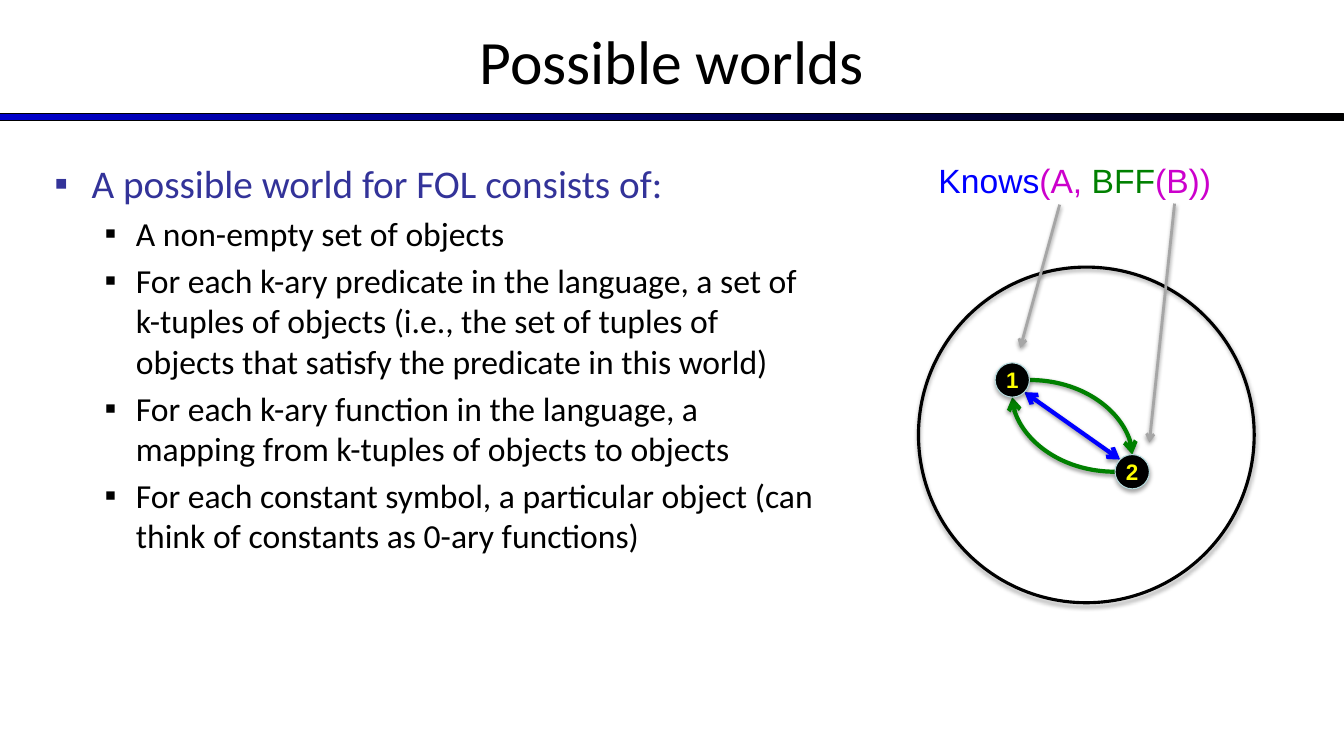
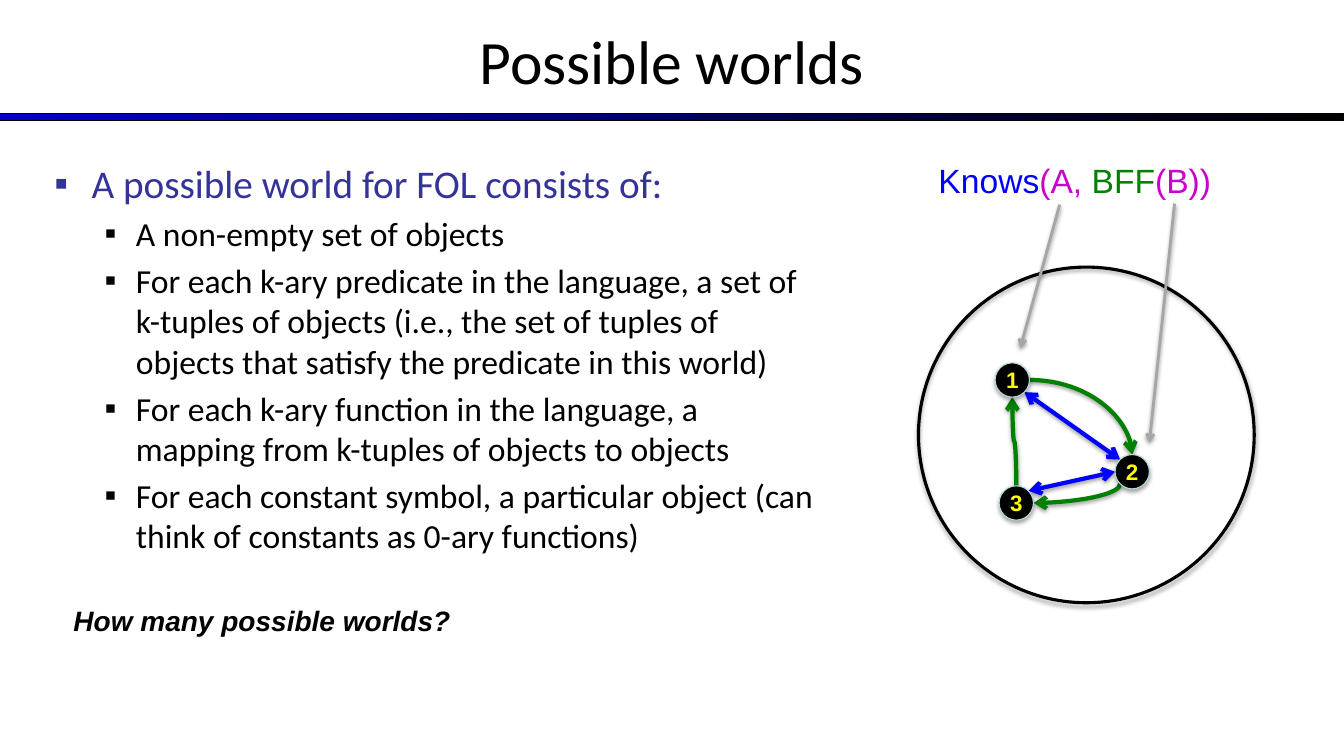
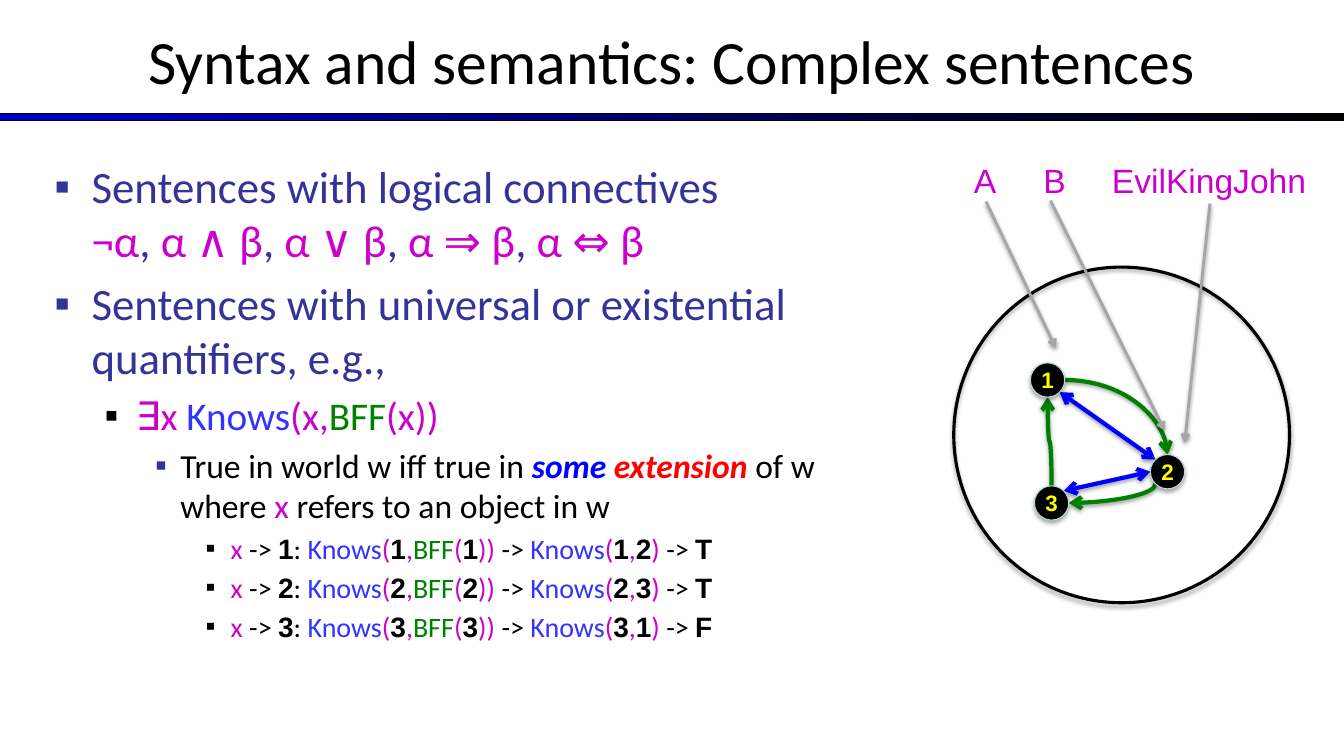
import math

from pptx import Presentation
from pptx import util as u
from pptx.dml.color import RGBColor
from pptx.enum import shapes, text
from pptx.oxml.ns import qn
from lxml import etree

SLIDE_W, SLIDE_H = 13.33, 7.5
BLACK, NAVY, BLUE, GREEN, PURPLE = "000000", "333399", "0000FF", "008000", "CC00CC"
GREY, YELLOW, RED, SKY = "A6A6A6", "FFFF00", "FF0000", "3333FF"

# Bullet levels: (left margin, hanging indent, bullet colour)
LEVELS = [(0.37, 0.37, NAVY), (0.81, 0.31, BLACK), (1.25, 0.25, NAVY), (1.75, 0.25, BLACK)]

# World diagram, in inches from the top left of its circle
WORLD_TOP, WORLD_SIZE, NODE_RADIUS = 2.65, 3.33, 0.17
OBJECTS = {1: (0.93, 1.12), 2: (2.12, 2.03), 3: (0.97, 2.34)}


def rgb(value):
    return RGBColor.from_string(value)


def sub(parent, tag, **attributes):
    child = etree.SubElement(parent, qn(tag))
    for key, value in attributes.items():
        child.set(key, str(value))
    return child


def add_shadow(shape, alpha, distance):
    effects = sub(shape.element.spPr, "a:effectLst")
    outer = sub(effects, "a:outerShdw", blurRad=u.Pt(3.1), dist=u.Pt(distance),
                dir=90 * 60000, rotWithShape=0)
    sub(sub(outer, "a:srgbClr", val=BLACK), "a:alpha", val=alpha * 1000)


# Text
def add_run(paragraph, words, size, colour=BLACK, font="Calibri", bold=False, italic=False):
    run = paragraph.add_run()
    run.text = words
    run.font.size, run.font.name = u.Pt(size), font
    run.font.bold, run.font.italic = bold, italic
    run.font.color.rgb = rgb(colour)


def add_text_frame(slide, left, top, width, height):
    frame = slide.shapes.add_textbox(*map(u.Inches, (left, top, width, height))).text_frame
    frame.word_wrap = True
    return frame


def add_line_of_text(slide, left, top, width, runs, size, tabs=(), **style):
    paragraph = add_text_frame(slide, left, top, width, 0.5).paragraphs[0]
    if tabs:
        stops = sub(paragraph._p.get_or_add_pPr(), "a:tabLst")
        for position in tabs:
            sub(stops, "a:tab", pos=u.Inches(position), algn="l")
    for words, colour in runs:
        add_run(paragraph, words, size, colour, font="Arial", **style)


def add_bullets(slide, width, items):
    """Each item is (level, size, runs); a run of None breaks the line."""
    frame = add_text_frame(slide, 0.44, 1.53, width, 5.17)
    for index, (level, size, runs) in enumerate(items):
        paragraph = frame.add_paragraph() if index else frame.paragraphs[0]
        margin, hanging, colour = LEVELS[level]
        props = paragraph._p.get_or_add_pPr()
        props.set("marL", str(u.Inches(margin)))
        props.set("indent", str(-u.Inches(hanging)))
        sub(sub(props, "a:buClr"), "a:srgbClr", val=colour)
        sub(props, "a:buFont", typeface="Arial")
        sub(props, "a:buChar", char="▪")
        if index:
            paragraph.space_before = u.Pt(round(size * 0.2, 1))
        for run in runs:
            if run is None:
                paragraph.add_line_break()
            else:
                words, *style = run
                add_run(paragraph, words, size, *style)


# Title and band shared by all slides
def add_titled_slide(deck, title):
    slide = deck.slides.add_slide(deck.slide_layouts[6])
    band = slide.shapes.add_shape(shapes.MSO_SHAPE.RECTANGLE, 0, u.Inches(1.13),
                                  u.Inches(SLIDE_W), u.Inches(0.07))
    band.shadow.inherit = False
    band.fill.gradient()
    band.fill.gradient_angle = 0
    for stop, colour in zip(band.fill.gradient_stops, ("0000CC", BLACK)):
        stop.color.rgb = rgb(colour)
    band.line.color.rgb = rgb(BLACK)
    band.line.width = u.Pt(0.75)

    frame = add_text_frame(slide, 0, -0.03, SLIDE_W, 1.25)
    frame.vertical_anchor = text.MSO_ANCHOR.MIDDLE
    frame.paragraphs[0].alignment = text.PP_ALIGN.CENTER
    add_run(frame.paragraphs[0], title, 44)
    return slide


# Parts of the world diagram
def rim(name, angle):
    """Point on an object's edge, clockwise from the right."""
    x, y = OBJECTS[name]
    turn = math.radians(angle)
    return x + NODE_RADIUS * math.cos(turn), y + NODE_RADIUS * math.sin(turn)


def add_disc(slide, left, top, size, line, width, fill=None):
    disc = slide.shapes.add_shape(shapes.MSO_SHAPE.OVAL,
                                  *map(u.Inches, (left, top, size, size)))
    if fill:
        disc.fill.solid()
        disc.fill.fore_color.rgb = rgb(fill)
    else:
        disc.fill.background()
    disc.line.color.rgb = rgb(line)
    disc.line.width = u.Pt(width)
    add_shadow(disc, 35, 1.8)
    return disc


def style_arrow(arrow, colour, width, both_ends=False):
    arrow.line.color.rgb = rgb(colour)
    arrow.line.width = u.Pt(width)
    outline = arrow.element.spPr.find(qn("a:ln"))
    for end in ("a:headEnd", "a:tailEnd")[0 if both_ends else 1:]:
        sub(outline, end, type="arrow")
    add_shadow(arrow, 38, 1.6)


def add_straight_arrow(slide, left, start, end, colour, width, both_ends=False):
    ends = [(left + x, WORLD_TOP + y) for x, y in (start, end)]
    arrow = slide.shapes.add_connector(shapes.MSO_CONNECTOR.STRAIGHT,
                                       *(u.Inches(v) for point in ends for v in point))
    style_arrow(arrow, colour, width, both_ends)


def add_curved_arrow(slide, left, start, end, heading, preset):
    """Curve that leaves its start in the direction of heading."""
    (x1, y1), (x2, y2) = start, end
    width, height = abs(x2 - x1), abs(y2 - y1)
    if heading % 180:
        width, height = height, width
    x = left + (x1 + x2 - width) / 2
    y = WORLD_TOP + (y1 + y2 - height) / 2
    arrow = slide.shapes.add_connector(shapes.MSO_CONNECTOR.CURVE,
                                       *map(u.Inches, (x, y, x + width, y + height)))
    turn = math.radians(heading)
    transform = arrow.element.spPr.find(qn("a:xfrm"))
    transform.set("rot", str(heading * 60000))
    if (y2 - y1) * math.cos(turn) < (x2 - x1) * math.sin(turn):
        transform.set("flipV", "1")
    arrow.element.spPr.find(qn("a:prstGeom")).set("prst", preset)
    style_arrow(arrow, GREEN, 3)


def add_world(slide, left, objects, knows, friends, names):
    add_disc(slide, left, WORLD_TOP, WORLD_SIZE, BLACK, 2.25)
    for start, end in knows:
        add_straight_arrow(slide, left, rim(*start), rim(*end), BLUE, 3, both_ends=True)
    for start, end, heading, preset in friends:
        add_curved_arrow(slide, left, rim(*start), rim(*end), heading, preset)
    for start, end in names:
        add_straight_arrow(slide, left, start, end, GREY, 2)
    for name in objects:
        x, y = OBJECTS[name]
        node = add_disc(slide, left + x - NODE_RADIUS, WORLD_TOP + y - NODE_RADIUS,
                        2 * NODE_RADIUS, "B6DCDF", 0.75, BLACK)
        frame = node.text_frame
        frame.margin_left = frame.margin_right = frame.margin_top = frame.margin_bottom = 0
        frame.word_wrap = False
        frame.vertical_anchor = text.MSO_ANCHOR.MIDDLE
        frame.paragraphs[0].alignment = text.PP_ALIGN.CENTER
        add_run(frame.paragraphs[0], str(name), 16, YELLOW, "Arial", True)


# Relations as (object, edge angle) pairs
KNOWS_1_2 = ((1, 45), (2, 225))
KNOWS_3_2 = ((3, 315), (2, 180))
FRIEND_1_2 = ((1, 0), (2, 270), 0, "curvedConnector2")
FRIEND_2_1 = ((2, 180), (1, 90), 180, "curvedConnector2")
FRIEND_3_1 = ((3, 270), (1, 90), 270, "curvedConnector3")
FRIEND_2_3 = ((2, 135), (3, 0), 90, "curvedConnector2")
TWO_OBJECTS = ((1, 2), [KNOWS_1_2], [FRIEND_1_2, FRIEND_2_1])
THREE_OBJECTS = ((1, 2, 3), [KNOWS_1_2, KNOWS_3_2], [FRIEND_1_2, FRIEND_3_1, FRIEND_2_3])

TO_1, TO_2 = (1.01, 0.8), (2.29, 1.74)
LAST_NAME = ((2.54, -0.63), TO_2)

WORLD_PARTS = [
    "A non-empty set of objects",
    "For each k-ary predicate in the language, a set of k-tuples of objects "
    "(i.e., the set of tuples of objects that satisfy the predicate in this world)",
    "For each k-ary function in the language, a mapping from k-tuples of objects to objects",
    "For each constant symbol, a particular object (can think of constants as 0-ary functions)",
]


def add_possible_worlds(deck, world):
    slide = add_titled_slide(deck, "Possible worlds")
    add_bullets(slide, 7.74, [(0, 28, [("A possible world for FOL consists of:", NAVY)])]
                + [(1, 24, [(part,)]) for part in WORLD_PARTS])
    add_line_of_text(slide, 9.21, 1.54, 3.2, [("Knows", BLUE), ("(A, ", PURPLE),
                                              ("BFF", GREEN), ("(B))", PURPLE)], 24)
    add_world(slide, 9.11, *world, [((1.4, -0.62), TO_1), LAST_NAME])
    return slide


def extension_runs(value, friend, truth):
    def constant(words):
        return words, BLACK, "Arial", True

    return [("x", PURPLE), (" -> ",), constant(value), (": ",),
            ("Knows", SKY), ("(", PURPLE), constant(value), (",", PURPLE),
            ("BFF", GREEN), ("(", PURPLE), constant(value), (")) ", PURPLE), ("-> ",),
            ("Knows", SKY), ("(", PURPLE), constant(value), (",", PURPLE),
            constant(friend), (") ", PURPLE), ("-> ",), constant(truth)]


def add_complex_sentences(deck):
    slide = add_titled_slide(deck, "Syntax and semantics: Complex sentences")
    connectives = [("Sentences with logical connectives", NAVY), None, ("¬α", PURPLE)]
    for sentence in ("α ∧ β", "α ∨ β", "α ⇒ β", "α ⇔ β"):
        connectives += [(", ", NAVY), (sentence, PURPLE)]
    add_bullets(slide, 8.18, [
        (0, 32, connectives),
        (0, 32, [("Sentences with universal or existential quantifiers, e.g.,", NAVY)]),
        (1, 28, [("∃x ", PURPLE), ("Knows", SKY), ("(x,", PURPLE), ("BFF", GREEN),
                 ("(x))", PURPLE)]),
        (2, 24, [("True in world w iff true in ",), ("some ", BLUE, "Calibri", True, True),
                 ("extension", RED, "Calibri", True, True), (" of w where ",),
                 ("x", PURPLE), (" refers to an object in w",)]),
    ] + [(3, 20, extension_runs(*row)) for row in ("12T", "23T", "31F")])
    add_line_of_text(slide, 9.56, 1.54, 3.7, [("A\tB\tEvilKingJohn", PURPLE)], 24,
                     tabs=(0.69, 1.37))
    add_world(slide, 9.46, *THREE_OBJECTS, [((0.32, -0.65), TO_1), LAST_NAME,
                                            ((0.96, -0.66), (2.09, 1.62))])


def main():
    deck = Presentation()
    deck.slide_width, deck.slide_height = u.Inches(SLIDE_W), u.Inches(SLIDE_H)
    add_possible_worlds(deck, TWO_OBJECTS)
    question_slide = add_possible_worlds(deck, THREE_OBJECTS)
    add_line_of_text(question_slide, 0.63, 5.94, 4.3, [("How many possible worlds?", BLACK)],
                     20, bold=True, italic=True)
    add_complex_sentences(deck)
    deck.save("out.pptx")


if __name__ == "__main__":
    main()
